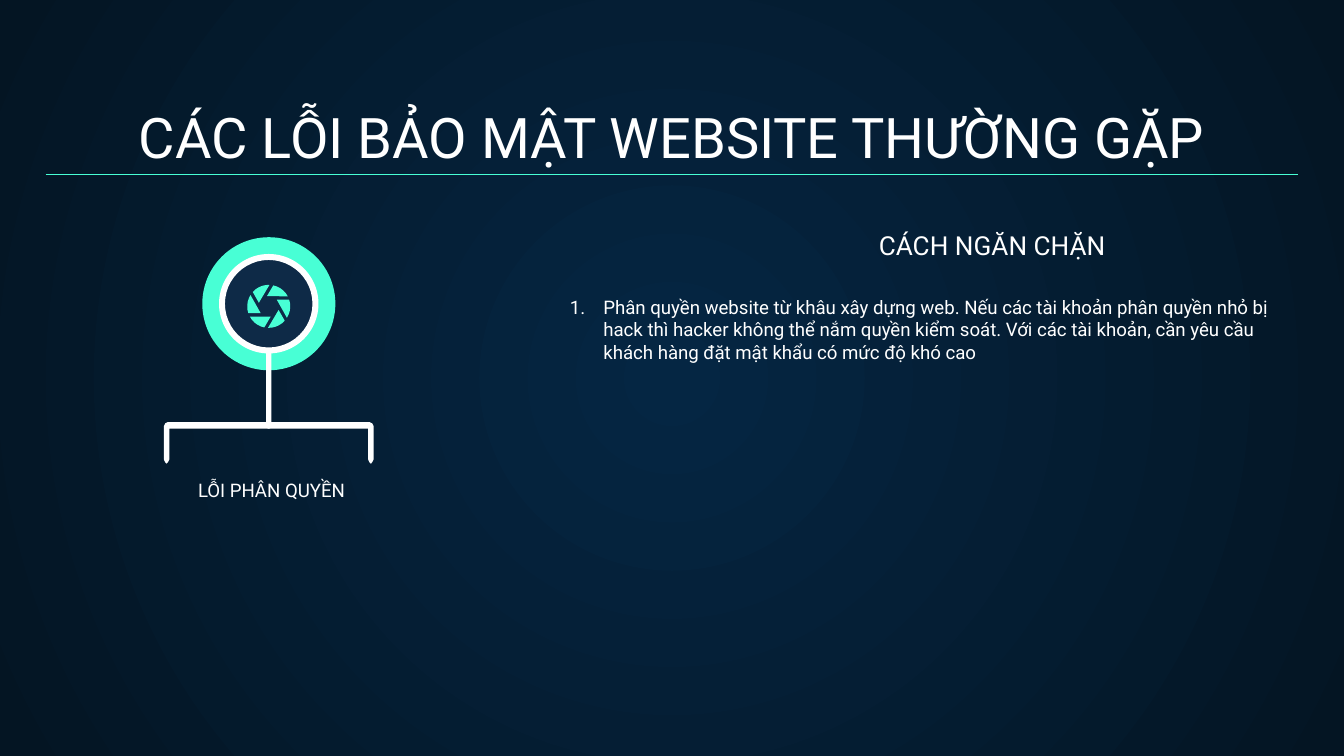
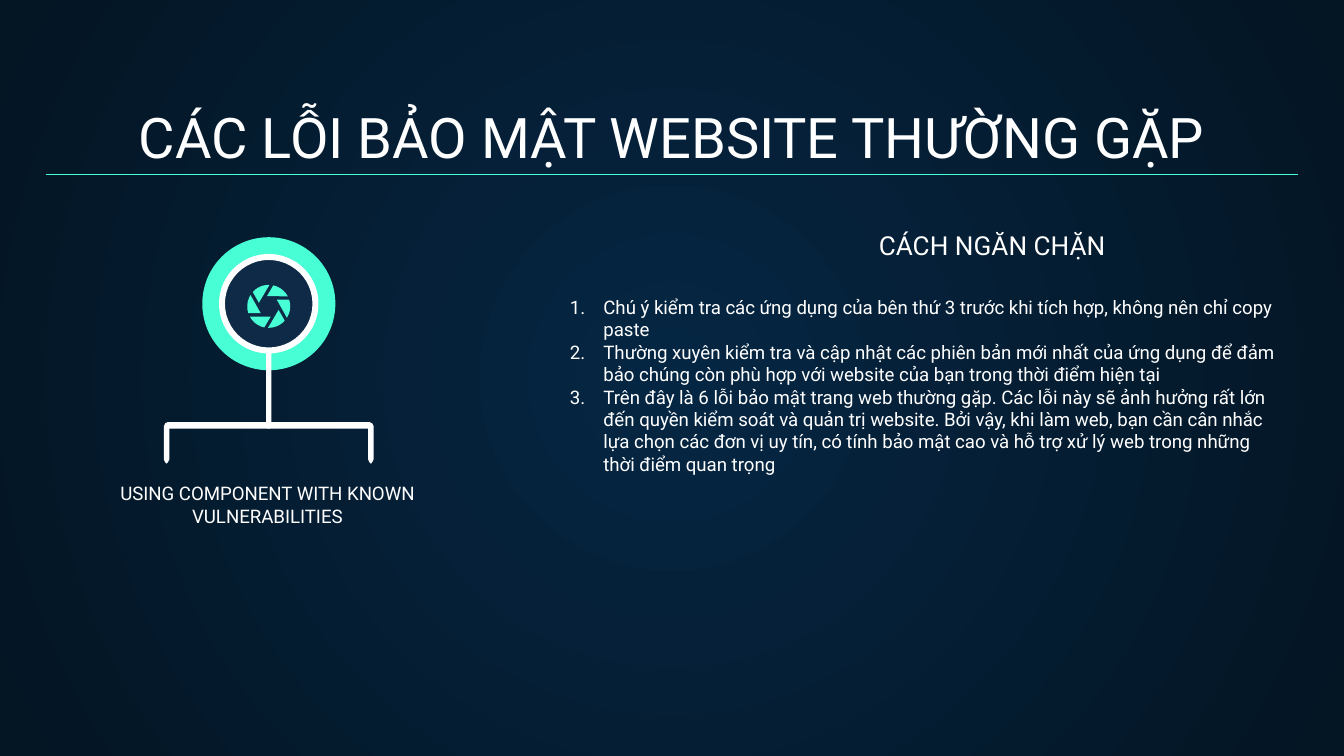
import math

import pptx
import pptx.dml.color
import pptx.enum.shapes
import pptx.enum.text
import pptx.oxml
import pptx.oxml.ns
import pptx.util
from pptx.util import Inches

FONT = "Roboto"
WHITE = "FFFFFF"
MINT = "48FFD5"
NAVY = "0E2A47"
BACKGROUND = ("052643", "041523")

TITLE = "CÁC LỖI BẢO MẬT WEBSITE THƯỜNG GẶP"
HEADING = "CÁCH NGĂN CHẶN"

SHAPE = pptx.enum.shapes.MSO_SHAPE
ALIGN = pptx.enum.text.PP_ALIGN
ANCHOR = pptx.enum.text.MSO_ANCHOR

# Each slide: error name, box of the name, height of the list, advice
SLIDES = [
    ("LỖI PHÂN QUYỀN", (0.74, 3.44, 2.56, 0.39), 2.09, [
        "Phân quyền website từ khâu xây dựng web. Nếu các tài khoản phân quyền nhỏ bị hack "
        "thì hacker không thể nắm quyền kiểm soát. Với các tài khoản, cần yêu cầu khách hàng "
        "đặt mật khẩu có mức độ khó cao",
    ]),
    ("USING COMPONENT WITH KNOWN VULNERABILITIES", (0.71, 3.58, 2.56, 0.44), 2.97, [
        "Chú ý kiểm tra các ứng dụng của bên thứ 3 trước khi tích hợp, không nên chỉ copy paste",
        "Thường xuyên kiểm tra và cập nhật các phiên bản mới nhất của ứng dụng để đảm bảo chúng "
        "còn phù hợp với website của bạn trong thời điểm hiện tại",
        "Trên đây là 6 lỗi bảo mật trang web thường gặp. Các lỗi này sẽ ảnh hưởng rất lớn đến "
        "quyền kiểm soát và quản trị website. Bởi vậy, khi làm web, bạn cần cân nhắc lựa chọn "
        "các đơn vị uy tín, có tính bảo mật cao và hỗ trợ xử lý web trong những thời điểm "
        "quan trọng",
    ]),
]


def color(value):
    return pptx.dml.color.RGBColor.from_string(value)


def add_xml(parent, xml):
    """Append a drawing element written without its namespace declaration."""
    namespace = pptx.oxml.ns.nsdecls("a")
    name, rest = xml[:-2].partition(" ")[::2]
    parent.append(pptx.oxml.parse_xml(f"{name} {namespace} {rest}/>"))


def number_paragraph(paragraph):
    properties = paragraph._p.get_or_add_pPr()
    properties.set("marL", str(Inches(0.38)))
    properties.set("indent", str(Inches(-0.25)))
    add_xml(properties, f'<a:buFont typeface="{FONT}"/>')
    add_xml(properties, '<a:buAutoNum type="arabicPeriod"/>')


def write_text(shape, box, texts, size=10, align=ALIGN.LEFT, anchor=ANCHOR.BOTTOM, numbered=False):
    """Move a text shape to its box and fill it with one paragraph per text."""
    shape.left, shape.top, shape.width, shape.height = map(Inches, box)
    frame = shape.text_frame
    frame.word_wrap = True
    frame.auto_size = pptx.enum.text.MSO_AUTO_SIZE.NONE
    frame.vertical_anchor = anchor
    frame.margin_left = frame.margin_right = Inches(0.1)
    frame.margin_top = frame.margin_bottom = Inches(0.1)
    for index, text in enumerate(texts):
        paragraph = frame.paragraphs[0] if index == 0 else frame.add_paragraph()
        if numbered:
            number_paragraph(paragraph)
        paragraph.alignment = align
        paragraph.space_before = pptx.util.Pt(0)
        run = paragraph.add_run()
        run.text = text
        run.font.name = FONT
        run.font.size = pptx.util.Pt(size)
        run.font.color.rgb = color(WHITE)


def add_text(slide, box, text, **text_format):
    write_text(slide.shapes.add_textbox(*map(Inches, box)), box, [text], **text_format)


def paint(shape, fill):
    shape.shadow.inherit = False
    shape.fill.solid()
    shape.fill.fore_color.rgb = color(fill)
    shape.line.fill.background()


def add_outline(shapes, points, fill):
    start, *others = [(Inches(x), Inches(y)) for x, y in points]
    builder = shapes.build_freeform(*start)
    builder.add_line_segments(others, close=True)
    paint(builder.convert_to_shape(), fill)


def add_round(slide, preset, center_x, center_y, diameter, fill):
    shape = slide.shapes.add_shape(
        preset, Inches(center_x - diameter / 2), Inches(center_y - diameter / 2),
        Inches(diameter), Inches(diameter))
    paint(shape, fill)
    return shape


def set_background(master):
    fill = master.background.fill
    fill.gradient()
    for stop, value, position in zip(fill.gradient_stops, BACKGROUND, (0, 1)):
        stop.color.rgb = color(value)
        stop.position = position
    linear = master.element.find(".//" + pptx.oxml.ns.qn("a:lin"))
    gradient = linear.getparent()
    gradient.remove(linear)
    add_xml(gradient, '<a:path path="circle"/>')
    add_xml(gradient[-1], '<a:fillToRect l="50000" t="50000" r="50000" b="50000"/>')


def add_shutter(slide, center_x, center_y, radius=0.16):
    """Six equal blades turned around one centre."""
    group = slide.shapes.add_group_shape()
    arc = [(radius, angle) for angle in range(162, 213, 10)]
    blade = [(math.hypot(0.06, 0.05), 140)] + arc
    for turn in range(0, 360, 60):
        points = [(center_x + distance * math.cos(math.radians(angle + turn)),
                   center_y + distance * math.sin(math.radians(angle + turn)))
                  for distance, angle in blade]
        add_outline(group.shapes, points, MINT)


def add_emblem(slide, left, top):
    """Badge with a stem and a bracket; left and top bound the whole emblem."""
    center_x, center_y = left + 0.78, top + 0.49

    # Bracket: one half outline and its mirror
    half = [(0, 0), (0.75, 0), (0.77, 0.01), (0.78, 0.03), (0.78, 0.28), (0.77, 0.3),
            (0.76, 0.31), (0.75, 0.3), (0.74, 0.28), (0.74, 0.05), (0, 0.05)]
    outline = half + [(-x, y) for x, y in reversed(half[1:-1])]
    add_outline(slide.shapes, [(center_x + x, top + 1.37 + y) for x, y in outline], WHITE)

    # Disc, stem, core and ring
    add_round(slide, SHAPE.OVAL, center_x, center_y, 0.99, MINT)
    stem = slide.shapes.add_shape(
        SHAPE.ROUNDED_RECTANGLE, Inches(center_x - 0.02), Inches(top + 0.42),
        Inches(0.04), Inches(1))
    stem.adjustments[0] = 0.5
    paint(stem, WHITE)
    add_round(slide, SHAPE.OVAL, center_x, center_y, 0.7, NAVY)
    ring = add_round(slide, SHAPE.DONUT, center_x, center_y, 0.74, WHITE)
    ring.adjustments[0] = 0.06

    add_shutter(slide, center_x, center_y + 0.02)


def add_title(slide, left, top, width):
    write_text(slide.shapes.title, (left, top, width, 0.66), [TITLE], size=30, align=ALIGN.CENTER)
    line = slide.shapes.add_connector(
        pptx.enum.shapes.MSO_CONNECTOR.STRAIGHT, Inches(left), Inches(top + 0.6),
        Inches(left + width), Inches(top + 0.6))
    line.line.color.rgb = color(MINT)
    line.line.width = pptx.util.Pt(0.75)
    add_xml(line._element.spPr, "<a:effectLst/>")


def add_advice(slide, left, top, width, list_height, advice):
    """Heading above a numbered list."""
    write_text(slide.placeholders[1], (left, top + 0.33, width, list_height), advice,
               anchor=ANCHOR.TOP, numbered=True)
    add_text(slide, (left + 2.43, top, 2.05, 0.27), HEADING, size=14)


def add_error_slide(presentation, name, name_box, list_height, advice):
    slide = presentation.slides.add_slide(presentation.slide_layouts[1])
    add_title(slide, 0.34, 0.7, 9.32)
    add_emblem(slide, 1.22, 1.77)
    add_advice(slide, 4.01, 1.77, 5.65, list_height, advice)
    add_text(slide, name_box, name, align=ALIGN.CENTER)


def main():
    presentation = pptx.Presentation()
    presentation.slide_width = Inches(10)
    presentation.slide_height = Inches(10) * 9 // 16
    set_background(presentation.slide_master)
    for content in SLIDES:
        add_error_slide(presentation, *content)
    presentation.save("out.pptx")


if __name__ == "__main__":
    main()
